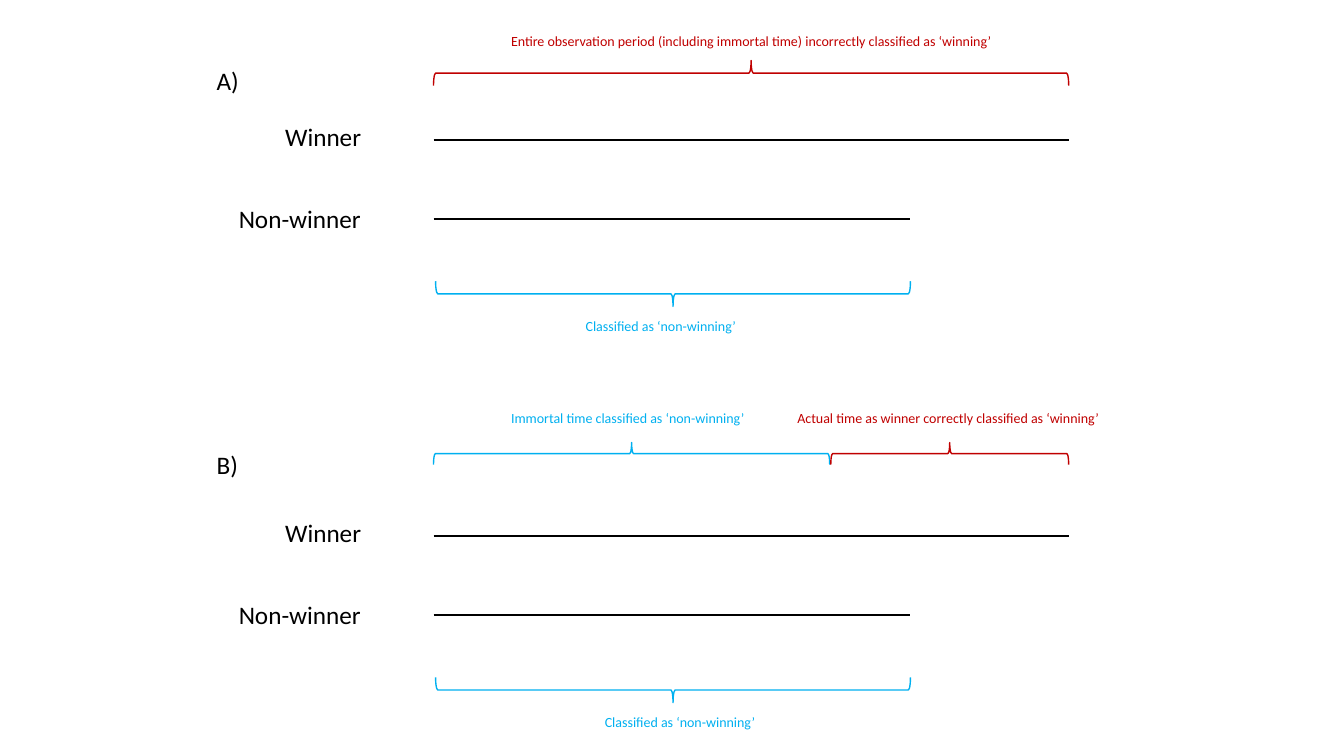
from dataclasses import dataclass

from lxml import etree
from pptx import Presentation
from pptx.dml.color import RGBColor
from pptx.enum.shapes import MSO_CONNECTOR, MSO_SHAPE
from pptx.enum.text import MSO_AUTO_SIZE
from pptx.oxml.ns import qn
from pptx.util import Pt

LINE = MSO_CONNECTOR.STRAIGHT
BRACE = MSO_SHAPE.RIGHT_BRACE
FIT = MSO_AUTO_SIZE.SHAPE_TO_FIT_TEXT
PX = 9144  # EMU in one px, at 100 px to the inch


@dataclass(frozen=True)
class Theme:
    font: str = "Calibri"
    ink: RGBColor = RGBColor(0, 0, 0)
    red: RGBColor = RGBColor(0xC0, 0, 0)
    blue: RGBColor = RGBColor(0, 0xB0, 0xF0)
    label: int = 18
    note: int = 10
    rule: float = 1.25
    brace: float = 1


class Chart:
    """Holds the theme and the slide; all lengths are whole px."""

    def __init__(self, slide, theme):
        self.shapes = slide.shapes
        self.theme = theme

    def rule(self, left, right, y):
        line = self.shapes.add_connector(
            LINE, left * PX, y * PX, right * PX, y * PX)
        line.line.color.rgb = self.theme.ink
        line.line.width = Pt(self.theme.rule)
        etree.SubElement(line._element.spPr, qn("a:effectLst"))

    def brace(self, left, right, y, high, color, down=False):
        """Lay a brace across left to right, with its tip up or down."""
        wide = right - left
        x = (left + right - high) * PX // 2
        top = (2 * y + high - wide) * PX // 2
        shape = self.shapes.add_shape(BRACE, x, top, high * PX, wide * PX)
        shape.rotation = 90 if down else 270
        shape.adjustments[0] = 0.083
        shape.adjustments[1] = 0.5
        shape.shadow.inherit = False
        shape.fill.background()
        shape.line.color.rgb = color
        shape.line.width = Pt(self.theme.brace)

    def text(self, words, x, y, wide, high, size, color, wrap):
        box = self.shapes.add_textbox(x * PX, y * PX, wide * PX, high * PX)
        frame = box.text_frame
        frame.word_wrap = wrap
        frame.auto_size = FIT
        para = frame.paragraphs[0]
        para.text = words
        para.font.name = self.theme.font
        para.font.size = Pt(size)
        para.font.color.rgb = color

    def label(self, words, x, y, wide):
        self.text(words, x, y, wide, 40, self.theme.label,
                  self.theme.ink, False)

    def note(self, words, x, y, wide, color):
        self.text(words, x, y, wide, 27, self.theme.note, color, True)


def main():
    deck = Presentation()
    deck.slide_width, deck.slide_height = 1333 * PX, 750 * PX
    theme = Theme()
    chart = Chart(deck.slides.add_slide(deck.slide_layouts[6]), theme)

    start, lose, switch, win = 430, 903, 823, 1060

    # Panel letter, its y, y of the winner line, x of the lower note
    panels = [("A)", 60, 139, 571), ("B)", 441, 532, 590)]
    for name, top, y, x in panels:
        chart.label(name, 205, top, 42)
        chart.rule(start, win, y)
        chart.rule(start, lose, y + 78)
        chart.label("Winner", 273, y - 24, 96)
        chart.label("Non-winner", 227, y + 58, 143)
        chart.brace(start + 2, lose, y + 140, 25, theme.blue, down=True)
        chart.note("Classified as ‘non-winning’", x, y + 171, 478, theme.blue)

    chart.brace(start, win, 60, 25, theme.red)
    chart.note("Entire observation period (including immortal time) "
               "incorrectly classified as ‘winning’",
               497, 27, 552, theme.red)

    chart.brace(start, switch, 439, 22, theme.blue)
    chart.note("Immortal time classified as ‘non-winning’",
               497, 401, 478, theme.blue)
    chart.brace(switch + 1, win, 439, 22, theme.red)
    chart.note("Actual time as winner correctly classified as ‘winning’",
               781, 401, 478, theme.red)

    deck.save("out.pptx")


if __name__ == "__main__":
    main()
